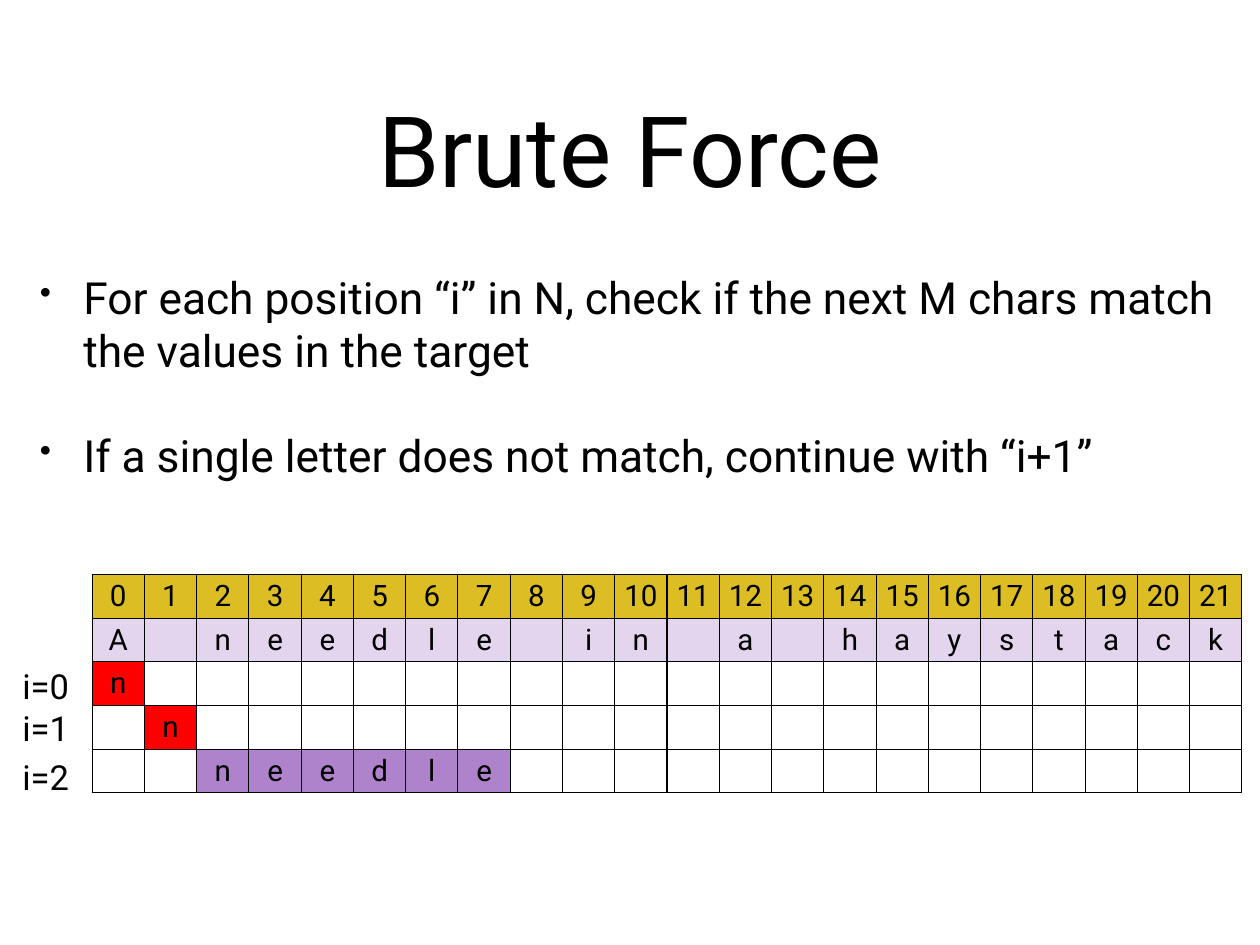
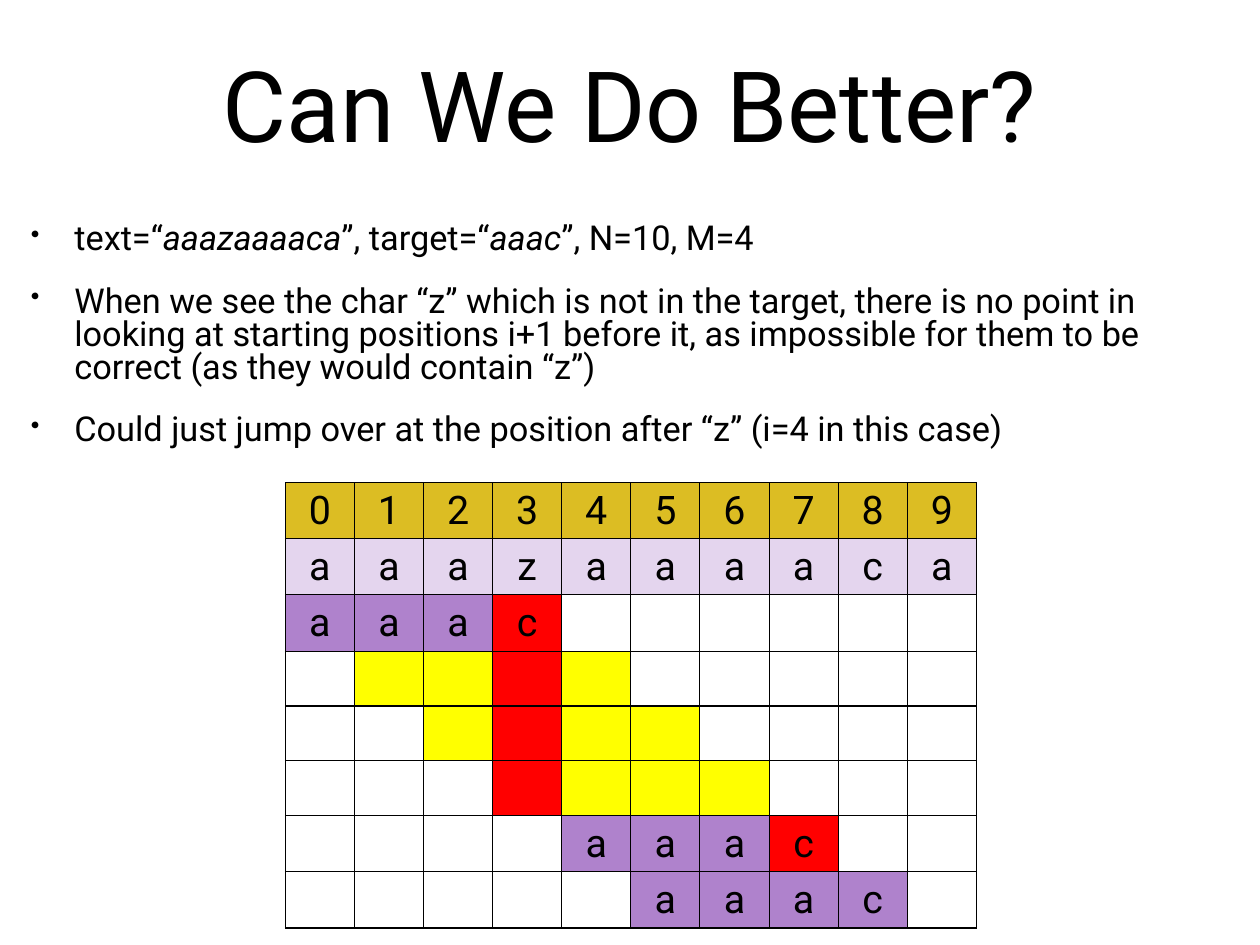
from dataclasses import dataclass
from itertools import zip_longest

from lxml import etree
from pptx import Presentation
from pptx.dml.color import RGBColor
from pptx.enum.text import MSO_ANCHOR, MSO_AUTO_SIZE, PP_ALIGN
from pptx.oxml.ns import qn
from pptx.util import Inches, Pt

CENTER = PP_ALIGN.CENTER
LEFT = PP_ALIGN.LEFT
MIDDLE = MSO_ANCHOR.MIDDLE
GROW = MSO_AUTO_SIZE.SHAPE_TO_FIT_TEXT
FIXED = MSO_AUTO_SIZE.NONE


@dataclass(frozen=True)
class Theme:
    """Colours, fonts and type sizes of the slides."""
    font: str = "Roboto"
    ink: str = "000000"
    index: str = "DCBD23"
    text: str = "E4D5EE"
    match: str = "AF82CC"
    miss: str = "FF0000"
    skip: str = "FFFF00"
    title: float = 80
    label: float = 28
    list_large: float = 36
    list_small: float = 27.9
    grid_large: float = 32
    grid_small: float = 24


def style(item, values):
    """Set each named attribute of an item."""
    for name, value in values.items():
        setattr(item, name, value)


class Deck:
    """Holds the theme and the current slide."""

    def __init__(self, theme):
        """Start an empty deck."""
        self.theme = theme
        self.deck = Presentation()
        self.deck.slide_width = Inches(14.22)
        self.deck.slide_height = Inches(10.67)
        self.slide = None
        self.fills = {"m": theme.match, "x": theme.miss, "s": theme.skip}

    def start(self, title, top):
        """Add a slide with its title."""
        self.slide = self.deck.slides.add_slide(self.deck.slide_layouts[6])
        frame = self.frame(1.04, top, 12.14, 2.36)
        self.line(frame.paragraphs[0], title, self.theme.title)

    def frame(self, left, top, width, height, wrap=True):
        """Add a text box and return its frame."""
        box = self.slide.shapes.add_textbox(
            Inches(left), Inches(top), Inches(width), Inches(height))
        pad = Inches(0.06)
        style(box.text_frame, {
            "margin_left": pad, "margin_right": pad,
            "margin_top": pad, "margin_bottom": pad,
            "vertical_anchor": MIDDLE, "word_wrap": wrap,
            "auto_size": FIXED if wrap else GROW})
        return box.text_frame

    def line(self, para, text, size, align=CENTER):
        """Fill a paragraph with text in which asterisks enclose italics."""
        para.alignment = align
        for order, part in enumerate(text.split("*")):
            run = para.add_run()
            run.text = part
            style(run.font, {
                "name": self.theme.font, "size": Pt(size),
                "italic": order % 2 == 1})
            run.font.color.rgb = RGBColor.from_string(self.theme.ink)

    def bullets(self, place, lines, size, gap, pitch):
        """Add a list with bullets."""
        frame = self.frame(*place)
        for order, text in enumerate(lines):
            para = frame.add_paragraph() if order else frame.paragraphs[0]
            props = para._p.get_or_add_pPr()
            props.set("marL", str(Inches(0.49)))
            props.set("indent", str(-Inches(0.49)))
            etree.SubElement(props, qn("a:buSzPct"), val="75000")
            etree.SubElement(props, qn("a:buChar"), char="•")
            style(para, {
                "space_before": Pt(gap if order else 0), "line_spacing": pitch})
            self.line(para, text, size, LEFT)

    def label(self, text, top):
        """Add a label beside the grid."""
        frame = self.frame(0.19, top, 0.65, 0.58, wrap=False)
        self.line(frame.paragraphs[0], text, self.theme.label)

    def cell(self, cell, text, fill, size):
        """Format one cell of the grid."""
        pad = Inches(0.05)
        style(cell, {
            "margin_left": pad, "margin_right": pad,
            "margin_top": pad, "margin_bottom": pad,
            "vertical_anchor": MIDDLE})
        props = cell._tc.get_or_add_tcPr()
        for side in "LRTB":
            edge = etree.SubElement(props, qn(f"a:ln{side}"), w=str(Pt(1)))
            solid = etree.SubElement(edge, qn("a:solidFill"))
            etree.SubElement(solid, qn("a:srgbClr"), val=self.theme.ink)
        if fill:
            cell.fill.solid()
            cell.fill.fore_color.rgb = RGBColor.from_string(fill)
        else:
            cell.fill.background()
        if text.strip():
            self.line(cell.text_frame.paragraphs[0], text, size)

    def grid(self, left, top, width, height, size, text, trials):
        """Add a table of the indexes, the text and each trial."""
        count = len(text)
        rows = [[(str(i), self.theme.index) for i in range(count)],
                [(char, self.theme.text) for char in text]]
        for start, word, marks in trials:
            row = [("", None)] * count
            for i, (char, mark) in enumerate(
                    zip_longest(word, marks, fillvalue=""), start):
                row[i] = (char, self.fills[mark])
            rows.append(row)
        table = self.slide.shapes.add_table(
            len(rows), count, Inches(left), Inches(top),
            Inches(width * count), Inches(height * len(rows))).table
        style(table, {"first_row": False, "horz_banding": False})
        for column in table.columns:
            column.width = Inches(width)
        for r, row in enumerate(rows):
            table.rows[r].height = Inches(height)
            for c, (char, fill) in enumerate(row):
                self.cell(table.cell(r, c), char, fill, size)


def main():
    """Build and save both slides."""
    theme = Theme()
    deck = Deck(theme)

    deck.start("Brute Force", 0.49)
    deck.bullets((0.39, 2.85, 13.51, 2.79), [
        "For each position “i” in N, check if the next M chars match "
        "the values in the target",
        "If a single letter does not match, continue with “i+1”",
    ], theme.list_large, gap=42, pitch=1.0)
    deck.grid(1.04, 6.49, 0.59, 0.49, theme.grid_small,
              "A needle in a haystack", [
                  (0, "n", "x"), (1, "n", "x"), (2, "needle", "mmmmmm")])
    for i, top in enumerate((7.45, 7.93, 8.48)):
        deck.label(f"i={i}", top)

    deck.start("Can We Do Better?", -0.01)
    deck.bullets((0.29, 2.47, 13.7, 2.66), [
        "text=“*aaazaaaaca*”, target=“*aaac*”, N=10, M=4",
        "When we see the char “z” which is not in the target, there is no "
        "point in looking at starting positions i+1 before it, as impossible "
        "for them to be correct (as they would contain “z”)",
        "Could just jump over at the position after “z” (i=4 in this case)",
    ], theme.list_small, gap=24, pitch=0.8)
    deck.grid(3.22, 5.45, 0.78, 0.62, theme.grid_large, "aaazaaaaca", [
        (0, "aaac", "mmmx"), (1, "", "ssxs"), (2, "", "sxss"),
        (3, "", "xsss"), (4, "aaac", "mmmx"), (5, "aaac", "mmmm")])

    deck.deck.save("out.pptx")


if __name__ == "__main__":
    main()
